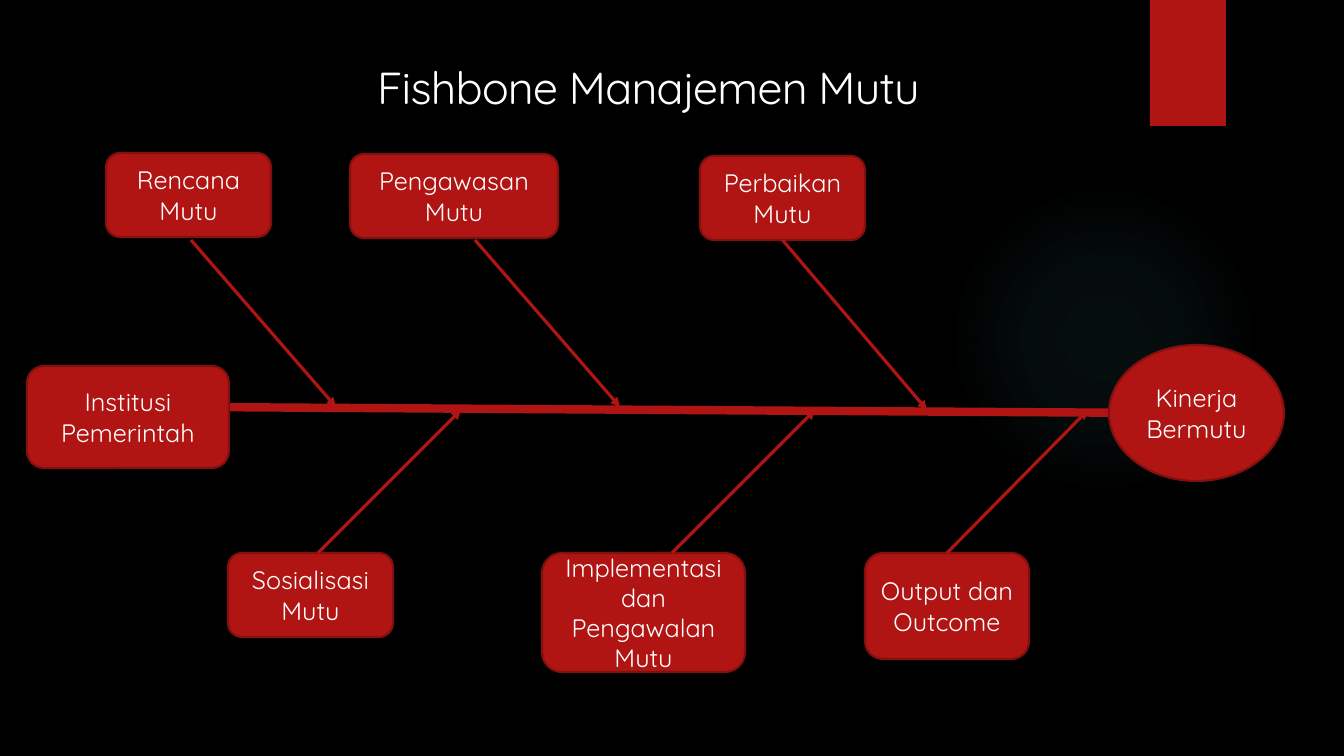
from dataclasses import dataclass

from lxml import etree
from pptx import Presentation
from pptx import util as u
from pptx.dml.color import RGBColor
from pptx.enum import shapes, text
from pptx.oxml import parse_xml
from pptx.oxml.ns import nsdecls, qn

EMU_PER_PX = 914400 / 100.8


@dataclass(frozen=True)
class Theme:
    background: str = "000000"
    red: str = "B01513"
    outline: str = "82100E"
    glow: str = "50B9C1"
    ink: str = "FFFFFF"
    font: str = "Quicksand"
    title_size: int = 32
    label_size: int = 18


THEME = Theme()
ROUNDED = shapes.MSO_SHAPE.ROUNDED_RECTANGLE
OVAL = shapes.MSO_SHAPE.OVAL
TOP, BOTTOM = 0, 2
UPPER_RIB, LOWER_RIB = (145, 167), (143, -143)

# label, box (left, top, width, height), rib start, rib reach, joined side
CAUSES = [
    ("Rencana Mutu", (106, 153, 165, 84), (191, 240), UPPER_RIB, None),
    ("Pengawasan Mutu", (350, 154, 208, 84), (475, 240), UPPER_RIB, None),
    ("Perbaikan Mutu", (700, 156, 165, 84), (782, 243), UPPER_RIB, BOTTOM),
    ("Sosialisasi Mutu", (228, 553, 165, 84), (318, 553), LOWER_RIB, None),
    ("Implementasi dan Pengawalan Mutu", (542, 553, 203, 119),
     (672, 553), LOWER_RIB, None),
    ("Output dan Outcome", (865, 553, 164, 106), (945, 553), LOWER_RIB, TOP),
]


def px(*lengths):
    return [u.Emu(round(length * EMU_PER_PX)) for length in lengths]


def colour(value):
    return RGBColor.from_string(value)


def write(frame, words, size):
    frame.word_wrap = True
    frame.text = words
    para = frame.paragraphs[0]
    para.alignment = text.PP_ALIGN.CENTER
    span = para.runs[0]
    span.font.name = THEME.font
    span.font.size = u.Pt(size)
    span.font.color.rgb = colour(THEME.ink)
    return para


def add_block(page, kind, place):
    """Add a flat red shape without an outline."""
    block = page.shapes.add_shape(kind, *px(*place))
    block.shadow.inherit = False
    block.fill.solid()
    block.fill.fore_color.rgb = colour(THEME.red)
    block.line.fill.background()
    return block


def add_node(page, kind, place, label):
    node = add_block(page, kind, place)
    node.line.color.rgb = colour(THEME.outline)
    node.line.width = u.Pt(1.5)
    node.text_frame.vertical_anchor = text.MSO_ANCHOR.MIDDLE
    write(node.text_frame, label, THEME.label_size)
    return node


def add_bone(page, start, end, width):
    bone = page.shapes.add_connector(
        shapes.MSO_CONNECTOR.STRAIGHT, *px(*start, *end))
    bone.line.color.rgb = colour(THEME.red)
    bone.line.width = u.Pt(width)
    etree.SubElement(bone._element.spPr, qn("a:effectLst"))
    return bone


def add_cause(page, label, place, start, reach, side):
    """Add a cause box and the arrow from it to the spine."""
    node = add_node(page, ROUNDED, place, label)
    end = (start[0] + reach[0], start[1] + reach[1])
    rib = add_bone(page, start, end, 2.25)
    etree.SubElement(rib.line._get_or_add_ln(), qn("a:tailEnd"), type="triangle")
    if side is not None:
        rib.begin_connect(node, side)


def add_glow(page, place):
    """Add a circle that fades from its centre to nothing."""
    glow = add_block(page, OVAL, place)
    stops = "".join(
        f'<a:gs pos="{position * 1000}"><a:srgbClr val="{THEME.glow}">'
        f'<a:alpha val="{alpha * 1000}"/></a:srgbClr></a:gs>'
        for position, alpha in [(0, 7), (36, 6), (69, 0)])
    gradient = parse_xml(
        f'<a:gradFill {nsdecls("a")}><a:gsLst>{stops}</a:gsLst>'
        '<a:path path="circle"><a:fillToRect l="50000" t="50000" '
        'r="50000" b="50000"/></a:path></a:gradFill>')
    properties = glow._element.spPr
    properties.replace(properties.find(qn("a:solidFill")), gradient)


def add_title(page, place, words):
    box = page.shapes.add_textbox(*px(*place))
    para = write(box.text_frame, words, THEME.title_size)
    box.text_frame.auto_size = text.MSO_AUTO_SIZE.SHAPE_TO_FIT_TEXT
    para.line_spacing = 0.85
    para.runs[0].font._element.set("spc", "-50")


def main():
    deck = Presentation()
    deck.slide_width, deck.slide_height = px(1344, 756)
    page = deck.slides.add_slide(deck.slide_layouts[6])
    page.background.fill.solid()
    page.background.fill.fore_color.rgb = colour(THEME.background)

    add_glow(page, (949, 184, 310, 310))
    add_block(page, shapes.MSO_SHAPE.RECTANGLE, (1150, 0, 76, 126))
    add_bone(page, (191, 407), (1157, 413), 6)
    add_node(page, ROUNDED, (27, 366, 202, 102), "Institusi Pemerintah")
    add_node(page, OVAL, (1109, 345, 175, 136), "Kinerja Bermutu")
    for cause in CAUSES:
        add_cause(page, *cause)
    add_title(page, (253, 63, 791, 57), "Fishbone Manajemen Mutu")
    deck.save("out.pptx")


if __name__ == "__main__":
    main()
